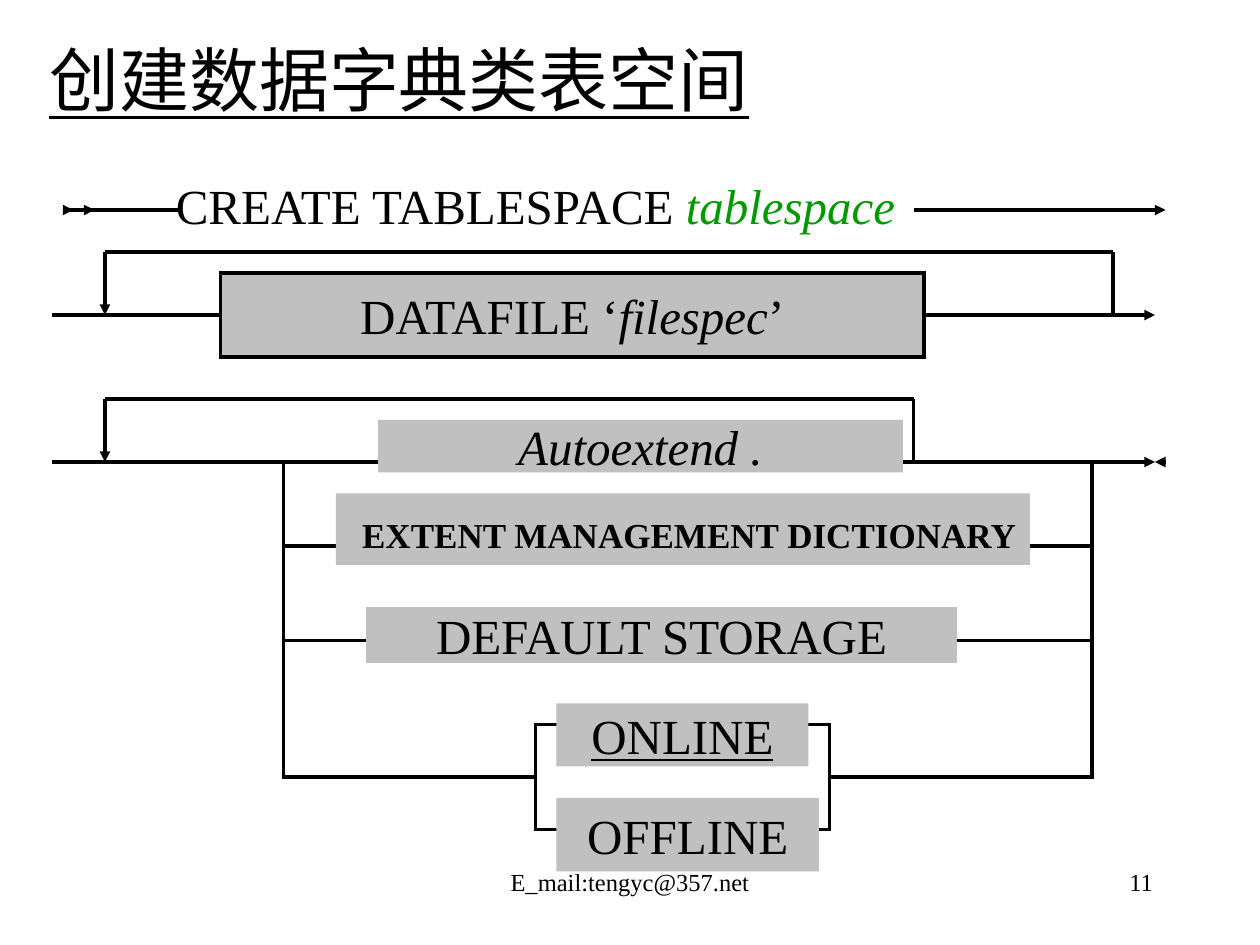
from lxml import etree
from pptx import Presentation
from pptx import util as u
from pptx.dml.color import RGBColor
from pptx.enum import shapes, text
from pptx.oxml.ns import qn

PX = 7620
FONT = "Times New Roman"
BLACK, WHITE, GREY, GREEN = "000000", "FFFFFF", "C0C0C0", "009900"
CENTER, RIGHT = text.PP_ALIGN.CENTER, text.PP_ALIGN.RIGHT
MIDDLE, TOP = text.MSO_ANCHOR.MIDDLE, text.MSO_ANCHOR.TOP


def color(value):
    return RGBColor.from_string(value)


def px(*values):
    return [u.Emu(value * PX) for value in values]


def write(shape, spans, align=CENTER, anchor=MIDDLE, wrap=False):
    frame = shape.text_frame
    frame.auto_size = text.MSO_AUTO_SIZE.NONE
    frame.word_wrap = wrap
    frame.vertical_anchor = anchor
    para = frame.paragraphs[0]
    para.alignment = align
    for words, size, style, ink in spans:
        span = para.add_run()
        span.text = words
        font = span.font
        font.name, font.size = FONT, u.Pt(size)
        font.color.rgb = color(ink)
        font.bold = "b" in style
        font.italic = "i" in style
        font.underline = "u" in style


def add_title(page, place, words):
    title = page.shapes.title
    title.left, title.top, title.width, title.height = px(*place)
    title.text_frame.margin_left = title.text_frame.margin_right = 0
    write(title, [(words, 40, "u", BLACK)])


def add_label(page, place, spans, align=CENTER, wrap=False):
    write(page.shapes.add_textbox(*px(*place)), spans, align, wrap=wrap)


def add_box(page, place, fill=None, line=None, spans=(), anchor=MIDDLE):
    box = page.shapes.add_shape(shapes.MSO_SHAPE.RECTANGLE, *px(*place))
    box.shadow.inherit = False
    if fill:
        box.fill.solid()
        box.fill.fore_color.rgb = color(fill)
    else:
        box.fill.background()
    if line:
        box.line.color.rgb = color(line)
        box.line.width = u.Pt(2)
        etree.SubElement(box.line._get_or_add_ln(), qn("a:miter"), lim="800000")
    else:
        box.line.fill.background()
    if spans:
        write(box, spans, anchor=anchor)


def add_line(page, start, end, arrow=False):
    line = page.shapes.add_connector(
        shapes.MSO_CONNECTOR.STRAIGHT, *px(*start), *px(*end))
    line.line.color.rgb = color(BLACK)
    line.line.width = u.Pt(2)
    if arrow:
        etree.SubElement(line.line._get_or_add_ln(), qn("a:tailEnd"), type="triangle")
    etree.SubElement(line._element.spPr, qn("a:effectLst"))


def add_loop(page, right, top, base):
    left = 100
    add_line(page, (50, base), (1100, base), True)
    add_line(page, (left, top), (right, top))
    add_line(page, (left, top), (left, base), True)
    add_line(page, (right, top), (right, base))


def main():
    deck = Presentation()
    deck.slide_width, deck.slide_height = px(1200, 900)
    page = deck.slides.add_slide(deck.slide_layouts[5])

    add_title(page, (40, 30, 680, 90), "创建数据字典类表空间")
    add_label(page, (160, 170, 700, 50),
              [("CREATE TABLESPACE ", 28, "", BLACK), ("tablespace", 28, "i", GREEN)])

    add_line(page, (60, 200), (170, 200))
    for start, end in ((870, 1110), (60, 70), (80, 90)):
        add_line(page, (start, 200), (end, 200), True)
    add_loop(page, 1060, 240, 300)
    add_loop(page, 870, 380, 440)
    add_line(page, (1110, 440), (1100, 440), True)

    add_box(page, (210, 260, 670, 80), GREY, BLACK,
            [("DATAFILE ‘", 28, "", BLACK), ("filespec", 28, "i", BLACK),
             ("’", 28, "", BLACK)])
    add_box(page, (270, 440, 770, 170), line=BLACK)
    for start, end in ((270, 450), (890, 1040)):
        add_line(page, (start, 520), (end, 520))
    add_box(page, (270, 610, 770, 130), line=BLACK)
    add_box(page, (320, 470, 661, 68), GREY, spans=[
        (" ", 28, "", BLACK), ("EXTENT MANAGEMENT DICTIONARY", 20, "b", BLACK)], anchor=TOP)
    add_box(page, (510, 690, 280, 100), WHITE, BLACK)

    for place, line, words, style in (
        ((530, 760, 250, 70), None, "OFFLINE", ""),
        ((530, 670, 240, 60), None, "ONLINE", "u"),
        ((350, 580, 560, 50), GREY, "DEFAULT STORAGE", ""),
        ((360, 400, 500, 50), None, "Autoextend .", "i"),
    ):
        add_box(page, place, GREY, line, [(words, 28, style, BLACK)])

    add_label(page, (410, 810, 380, 60),
              [("E_mail:tengyc@357.net", 14, "", BLACK)], wrap=True)
    add_label(page, (860, 810, 250, 60), [("11", 14, "", BLACK)], RIGHT, True)
    deck.save("out.pptx")


if __name__ == "__main__":
    main()
